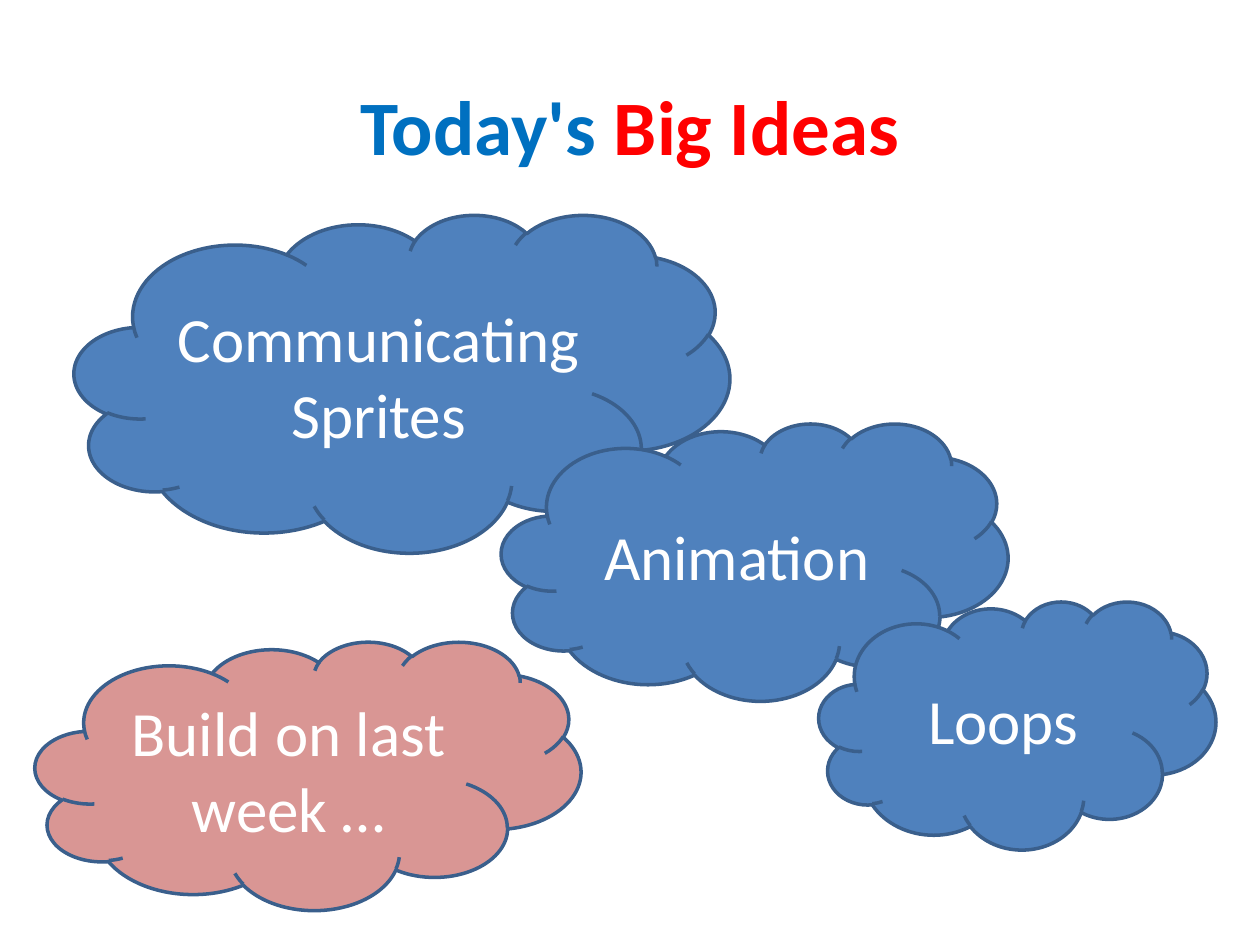
from dataclasses import dataclass

from pptx import Presentation
from pptx import util as u
from pptx.dml.color import RGBColor
from pptx.enum import shapes, text


@dataclass(frozen=True)
class Theme:
    font: str = "Calibri"
    title_size: int = 44
    cloud_size: int = 36
    outline_width: int = 2
    blue: str = "0070C0"
    red: str = "FF0000"
    cloud_blue: str = "4F81BD"
    cloud_pink: str = "D99694"
    outline: str = "3A5F8C"
    white: str = "FFFFFF"


class PageBuilder:
    def __init__(self, page, theme):
        self.page = page
        self.theme = theme

    def add_wording(self, shape, spans, size, bold=False):
        """Fill a shape with one centred paragraph of (wording, colour) spans."""
        frame = shape.text_frame
        frame.word_wrap = True
        frame.vertical_anchor = text.MSO_ANCHOR.MIDDLE
        para = frame.paragraphs[0]
        para.alignment = text.PP_ALIGN.CENTER
        for wording, colour in spans:
            span = para.add_run()
            span.text = wording
            span.font.name = self.theme.font
            span.font.size = u.Pt(size)
            span.font.bold = bold
            span.font.color.rgb = RGBColor.from_string(colour)

    def title(self, spans, bounds):
        box = self.page.shapes.add_textbox(*map(u.Cm, bounds))
        self.add_wording(box, spans, self.theme.title_size, bold=True)

    def cloud(self, wording, bounds, fill):
        cloud = self.page.shapes.add_shape(
            shapes.MSO_SHAPE.CLOUD, *map(u.Cm, bounds))
        cloud.shadow.inherit = False
        cloud.fill.solid()
        cloud.fill.fore_color.rgb = RGBColor.from_string(fill)
        cloud.line.color.rgb = RGBColor.from_string(self.theme.outline)
        cloud.line.width = u.Pt(self.theme.outline_width)
        self.add_wording(cloud, [(wording, self.theme.white)],
                         self.theme.cloud_size)


def main():
    theme = Theme()
    deck = Presentation()
    deck.slide_width, deck.slide_height = u.Cm(25.4), u.Cm(19.05)
    builder = PageBuilder(deck.slides.add_slide(deck.slide_layouts[6]), theme)

    # Title in two colours
    builder.title([("Today's ", theme.blue), ("Big Ideas", theme.red)],
                  (1.27, 0.53, 22.86, 3.96))

    # Idea clouds, back to front: left, top, width, height in cm
    ideas = [
        ("Communicating Sprites", (1.5, 4.32, 13.21, 6.81), theme.cloud_blue),
        ("Animation", (10.11, 8.53, 10.21, 5.59), theme.cloud_blue),
        ("Loops", (16.51, 12.12, 8, 5), theme.cloud_blue),
        ("Build on last week …", (0.71, 12.93, 11, 5.41), theme.cloud_pink),
    ]
    for wording, bounds, fill in ideas:
        builder.cloud(wording, bounds, fill)

    deck.save("out.pptx")


if __name__ == "__main__":
    main()
